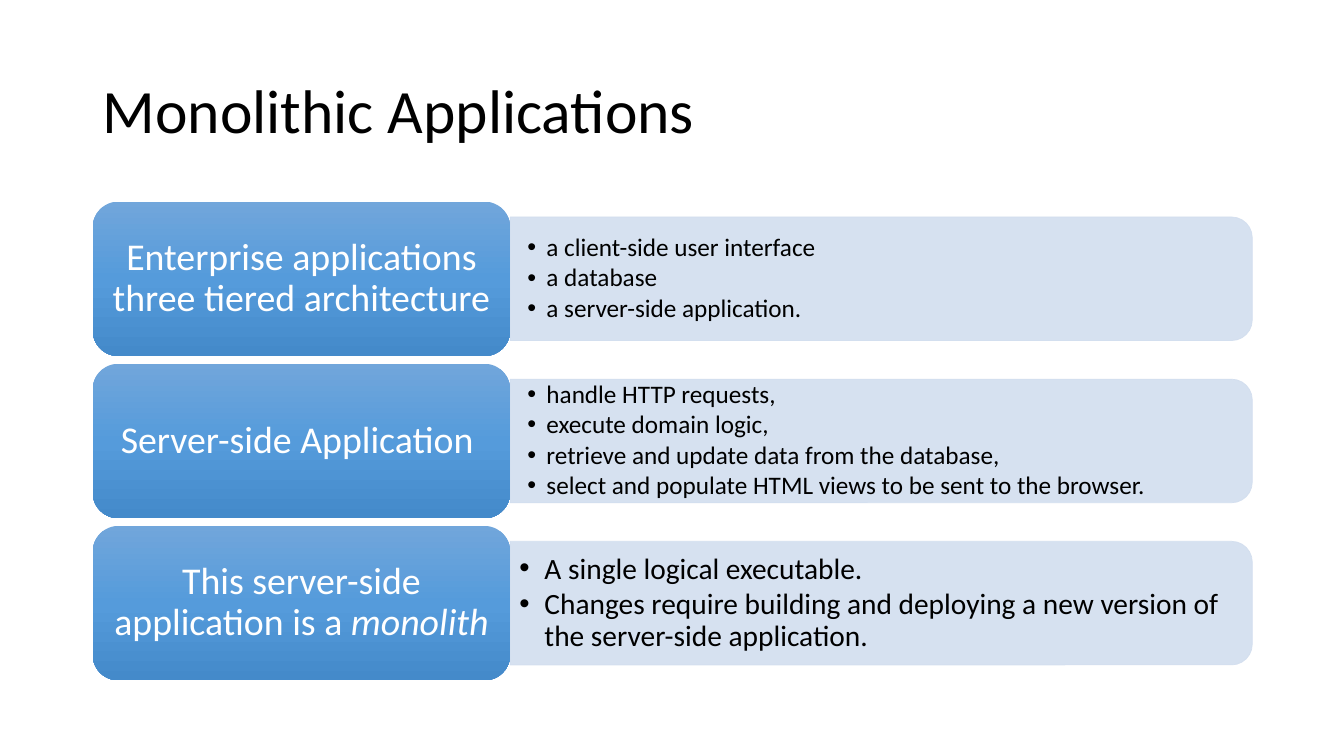
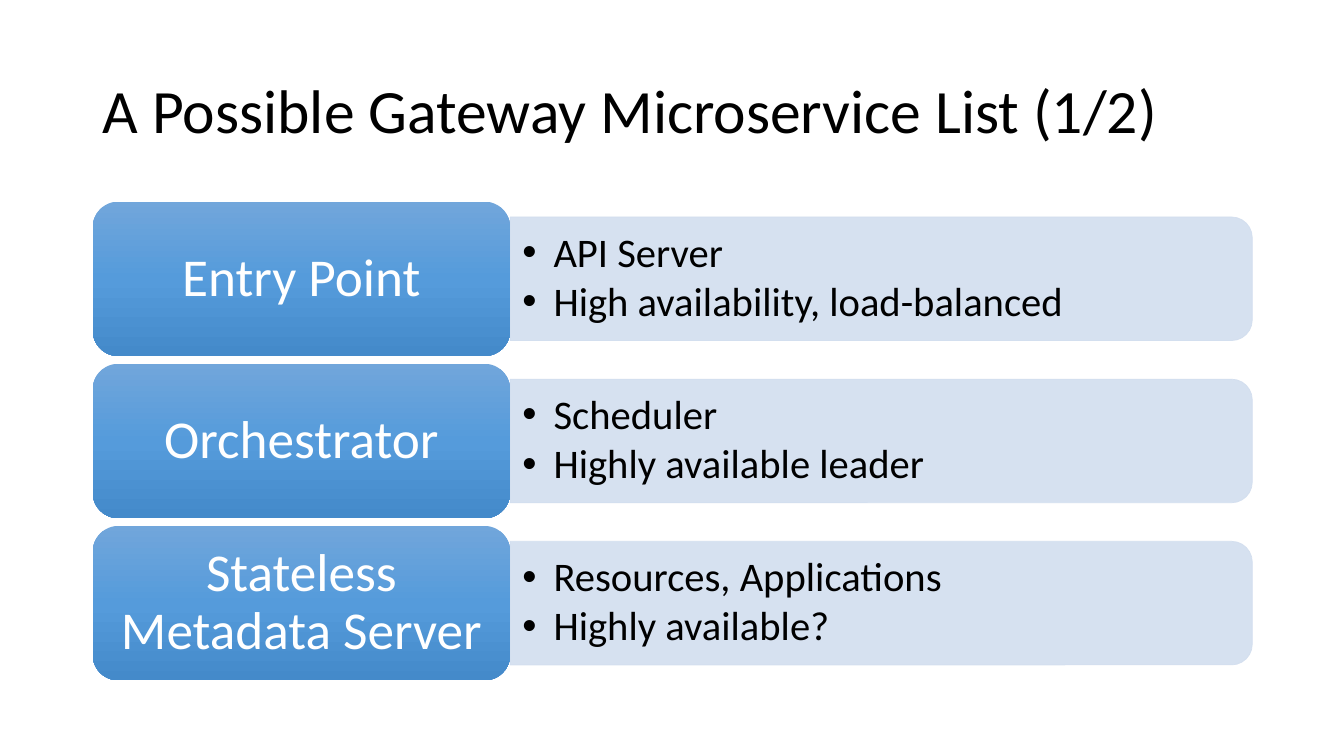
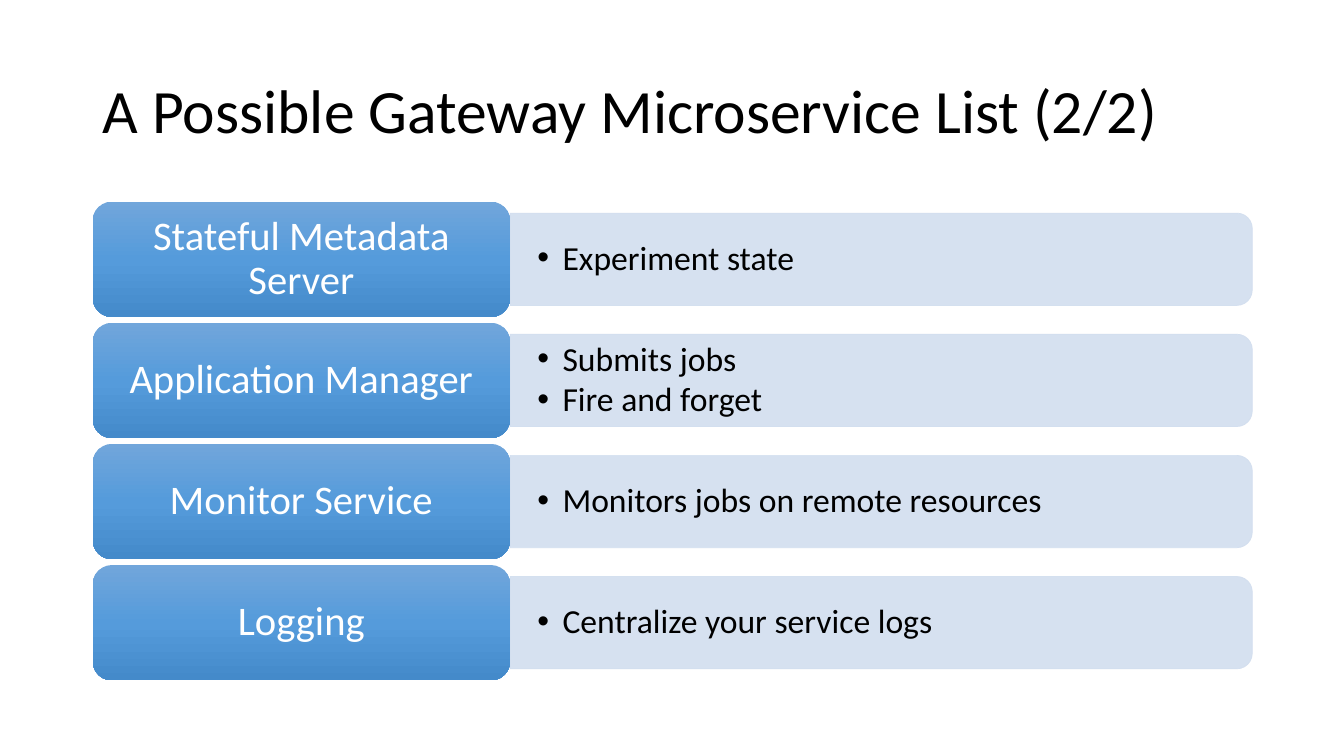
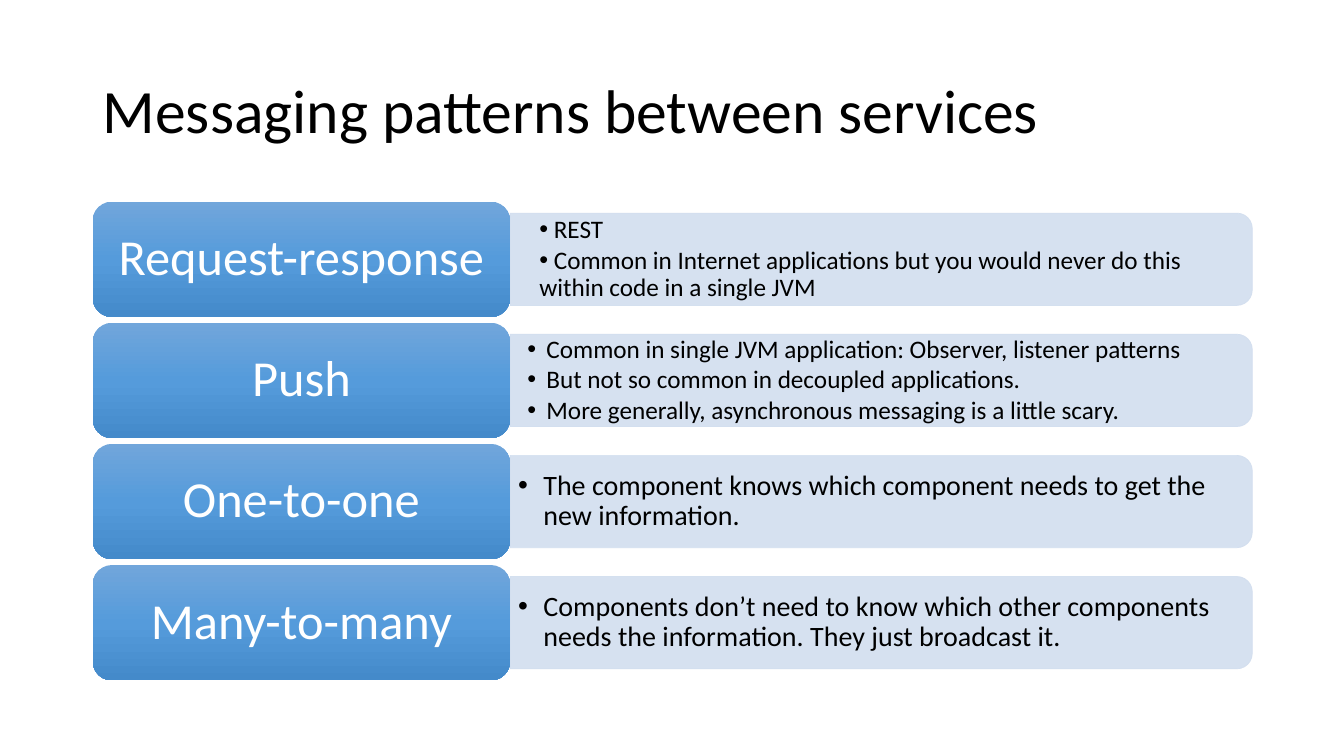
from lxml.etree import SubElement
from pptx import Presentation
from pptx.dml.color import RGBColor as RGB
from pptx.enum.shapes import MSO_SHAPE as SHAPE
from pptx.enum.text import MSO_ANCHOR as ANCHOR, PP_ALIGN as ALIGN
from pptx.oxml.ns import qn
from pptx.util import Inches, Pt

WIDE, HIGH = 13.33, 7.5
FONT = "Calibri"
COLORS = {"text": "000000", "label": "FFFFFF", "bar": "D2DEEF",
          "top": "71A6DB", "mid": "559BDB", "low": "448ACA"}
SHADES = [(0, "top"), (50, "mid"), (100, "low")]

# left, top, width, height
TITLE = (0.92, 0.4, 11.5, 1.45)
LIST = (0.92, 2.0, 11.5, 4.75)
SHARE = 0.36   # label width in the list
GAP = 0.05     # gap between rows, in label heights
SLIM = 0.8     # bar height, in label heights
CURVE = 0.05   # text inset of a rounded bar, in bar heights

# size, side margin, left indent, first-line indent
STYLES = {
    "small": (18, 0.17, 0.19, -0.19),
    "flush": (18, 0.17, 0.12, 0),
    "note": (20, 0.08, 0.25, -0.25),
    "plain": (21, 0.09, 0.25, -0.25),
    "mid": (24, 0.27, 0.25, -0.25),
    "large": (29, 0.12, 0.31, -0.31),
}

SLIDES = [
    ("Monolithic Applications", 27, [
        ("Enterprise applications three tiered architecture", "small",
         ["a client-side user interface", "a database",
          "a server-side application."]),
        ("Server-side Application ", "small",
         ["handle HTTP requests,", "execute domain logic,",
          "retrieve and update data from the database,",
          "select and populate HTML views to be sent to the browser."]),
        ("This server-side application is a |monolith ", "plain",
         ["A single logical executable.",
          "Changes require building and deploying a new version of "
          "the server-side application."]),
    ]),
    ("A Possible Gateway Microservice List (1/2)", 38, [
        ("Entry Point", "large",
         ["API Server", "High availability, load-balanced"]),
        ("Orchestrator", "large", ["Scheduler", "Highly available leader"]),
        ("Stateless Metadata Server", "large",
         ["Resources, Applications", "Highly available?"]),
    ]),
    ("A Possible Gateway Microservice List (2/2)", 29, [
        ("Stateful Metadata Server", "mid", ["Experiment state"]),
        ("Application Manager", "mid", ["Submits jobs", "Fire and forget"]),
        ("Monitor Service", "mid", ["Monitors jobs on remote resources"]),
        ("Logging", "mid", ["Centralize your service logs"]),
    ]),
    ("Messaging patterns between services", 36, [
        ("Request-response", "flush",
         [" REST",
          " Common in Internet applications but you would never do this "
          "within code in a single JVM"]),
        ("Push", "small",
         ["Common in single JVM application: Observer, listener patterns",
          "But not so common in decoupled applications.",
          "More generally, asynchronous messaging is a little scary."]),
        ("One-to-one", "note",
         ["The component knows which component needs to get the new "
          "information."]),
        ("Many-to-many", "note",
         ["Components don’t need to know which other components needs the "
          "information. They just broadcast it."]),
    ]),
]


def color(name):
    return RGB.from_string(COLORS[name])


def place(box):
    return [Inches(v) for v in box]


def set_frame(shape, side):
    """Wrap and centre the text; upper and lower margins are half the side."""
    frame = shape.text_frame
    frame.word_wrap = True
    frame.vertical_anchor = ANCHOR.MIDDLE
    frame.margin_left = frame.margin_right = Inches(side)
    frame.margin_top = frame.margin_bottom = Inches(side / 2)
    return frame


def set_font(para, size, tint="text"):
    para.line_spacing = 0.9
    font = para.font
    font.name, font.size = FONT, Pt(size)
    font.color.rgb = color(tint)


def add_title(slide, text):
    frame = set_frame(slide.shapes.add_textbox(*place(TITLE)), 0.1)
    para = frame.paragraphs[0]
    para.text = text
    set_font(para, 44)


def shade(shape):
    """Fill from top to bottom with the three label colours."""
    shape.fill.gradient()
    shape.fill.gradient_angle = 270
    stops = next(shape.element.spPr.iter(qn("a:gsLst")))
    stops.clear()
    for pos, name in SHADES:
        stop = SubElement(stops, qn("a:gs"), pos=str(pos * 1000))
        SubElement(stop, qn("a:srgbClr"), val=COLORS[name])


def add_label(slide, box, text, size):
    """Add a rounded label; text after a bar sign is italic."""
    label = slide.shapes.add_shape(SHAPE.ROUNDED_RECTANGLE, *place(box))
    label.shadow.inherit = False
    label.line.fill.background()
    shade(label)
    para = set_frame(label, size * 0.3 / 72).paragraphs[0]
    para.alignment = ALIGN.CENTER
    set_font(para, size, "label")
    plain, _, slanted = text.partition("|")
    para.add_run().text = plain
    if slanted:
        run = para.add_run()
        run.text = slanted
        run.font.italic = True


def add_bar(slide, box):
    """Add a bar rounded on its right side: a turned shape."""
    left, top, wide, high = box
    turned = (left + (wide - high) / 2, top + (high - wide) / 2, high, wide)
    bar = slide.shapes.add_shape(SHAPE.ROUND_2_SAME_RECTANGLE, *place(turned))
    bar.rotation = 90
    bar.shadow.inherit = False
    bar.fill.solid()
    bar.fill.fore_color.rgb = bar.line.color.rgb = color("bar")
    bar.line.width = Pt(0.5)
    for tone in bar.element.spPr.iter(qn("a:srgbClr")):
        SubElement(tone, qn("a:alpha"), val="90000")


def add_points(slide, box, style, lines):
    left, top, wide, high = box
    size, side, indent, first = STYLES[style]
    trim = high * CURVE
    area = (left, top + trim, wide - trim, high - 2 * trim)
    frame = set_frame(slide.shapes.add_textbox(*place(area)), side)
    for i, line in enumerate(lines):
        para = frame.add_paragraph() if i else frame.paragraphs[0]
        para.text = line
        props = para._p.get_or_add_pPr()
        props.set("marL", str(Inches(indent)))
        props.set("indent", str(Inches(first)))
        SubElement(props, qn("a:buFont"), typeface="Arial")
        SubElement(props, qn("a:buChar"), char="•")
        para.space_after = Pt(round(size * 0.13, 1))
        set_font(para, size)


def add_list(slide, box, size, rows):
    left, top, wide, high = box
    count = len(rows)
    tall = high / (count + GAP * (count - 1))
    split = wide * SHARE
    for i, (text, style, lines) in enumerate(rows):
        y = top + i * tall * (1 + GAP)
        bar = (left + split, y + tall * (1 - SLIM) / 2,
               wide - split, tall * SLIM)
        add_bar(slide, bar)
        add_points(slide, bar, style, lines)
        add_label(slide, (left, y, split, tall), text, size)


def main():
    deck = Presentation()
    deck.slide_width, deck.slide_height = Inches(WIDE), Inches(HIGH)
    for title, size, rows in SLIDES:
        slide = deck.slides.add_slide(deck.slide_layouts[6])
        add_title(slide, title)
        add_list(slide, LIST, size, rows)
    deck.save("out.pptx")


if __name__ == "__main__":
    main()
